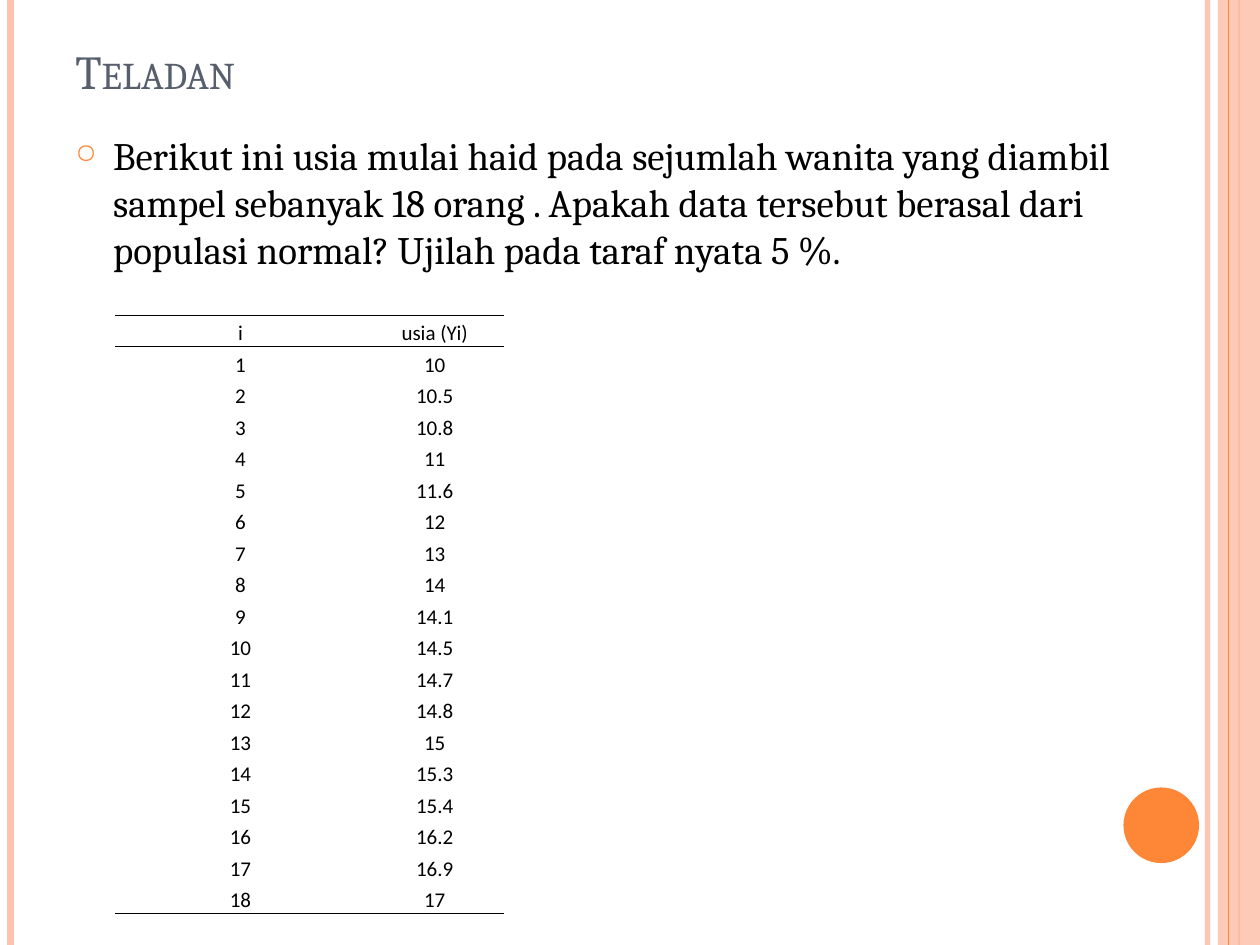
from lxml.etree import SubElement
from pptx import Presentation
from pptx.dml.color import RGBColor
from pptx.enum.shapes import MSO_CONNECTOR as Connector, MSO_SHAPE as Preset
from pptx.enum.text import MSO_ANCHOR as Anchor, PP_ALIGN as Align
from pptx.oxml.ns import qn
from pptx.util import Inches, Pt

COLORS = {
    "peach": "FEC3AE",
    "orange": "FE8637",
    "slate": "575F6D",
    "black": "000000",
}
COLUMNS, ROWS = 120, 90
UNIT = Inches(10) / COLUMNS
AGES = [10, 10.5, 10.8, 11, 11.6, 12, 13, 14, 14.1,
        14.5, 14.7, 14.8, 15, 15.3, 15.4, 16.2, 16.9, 17]
QUESTION = ("Berikut ini usia mulai haid pada sejumlah wanita yang diambil "
            "sampel sebanyak 18 orang . Apakah data tersebut berasal dari "
            "populasi normal? Ujilah pada taraf nyata 5 %.")


def grid(*units):
    return [round(unit * UNIT) for unit in units]


def rgb(name):
    return RGBColor.from_string(COLORS[name])


def add_element(parent, tag, **attributes):
    return SubElement(parent, qn(tag), attributes)


def set_opacity(fill_parent, percent):
    color = fill_parent.find(".//" + qn("a:srgbClr"))
    add_element(color, "a:alpha", val=str(percent * 1000))


def add_stripe(page, column, color, width, opacity=100):
    stripe = page.shapes.add_connector(
        Connector.STRAIGHT, *grid(column, 0, column, ROWS))
    stripe.line.color.rgb = rgb(color)
    stripe.line.width = Pt(width)
    properties = stripe.element.spPr
    if opacity < 100:
        set_opacity(properties, opacity)
    add_element(properties, "a:effectLst")


def add_solid(page, preset, place, color, opacity=100):
    solid = page.shapes.add_shape(preset, *grid(*place))
    solid.shadow.inherit = False
    solid.fill.solid()
    solid.fill.fore_color.rgb = rgb(color)
    solid.line.fill.background()
    if opacity < 100:
        set_opacity(solid.element.spPr, opacity)


def style_font(font, name, size, color):
    font.name = name
    font.size = Pt(size)
    font.color.rgb = rgb(color)


def add_text(page, place, text, size, color, anchor=Anchor.TOP):
    box = page.shapes.add_textbox(*grid(*place))
    frame = box.text_frame
    frame.word_wrap = True
    frame.vertical_anchor = anchor
    frame.text = text
    para = frame.paragraphs[0]
    style_font(para.runs[0].font, "Cambria", size, color)
    return para


def add_bullet(para, indent):
    properties = para._p.get_or_add_pPr()
    properties.set("marL", str(indent))
    properties.set("indent", str(-indent))
    color = add_element(properties, "a:buClr")
    add_element(color, "a:srgbClr", val=COLORS["orange"])
    add_element(properties, "a:buSzPct", val="70000")
    add_element(properties, "a:buChar", char="○")


def fill_cell(cell, text, ruled_sides):
    cell.text = text
    cell.vertical_anchor = Anchor.BOTTOM
    cell.margin_left = cell.margin_right = cell.margin_top = Inches(0.01)
    cell.margin_bottom = 0
    para = cell.text_frame.paragraphs[0]
    para.alignment = Align.CENTER
    style_font(para.runs[0].font, "Calibri", 12, "black")
    properties = cell._tc.get_or_add_tcPr()
    for side in "LRTB":
        border = add_element(properties, f"a:ln{side}", w=str(Pt(0.5)))
        if side in ruled_sides:
            solid = add_element(border, "a:solidFill")
            add_element(solid, "a:srgbClr", val=COLORS["black"])
        else:
            add_element(border, "a:noFill")
    cell.fill.background()


def add_age_table(page, left, top, widths, row_height):
    records = [("i", "usia (Yi)"), *enumerate(AGES, 1)]
    rules = {0: "TB", 1: "T", len(AGES): "B"}
    place = grid(left, top, sum(widths), row_height * len(records))
    table = page.shapes.add_table(len(records), len(widths), *place).table
    table.first_row = table.horz_banding = False
    for column, width in zip(table.columns, grid(*widths)):
        column.width = width
    for index, record in enumerate(records):
        table.rows[index].height = grid(row_height)[0]
        for column, value in enumerate(record):
            fill_cell(table.cell(index, column), str(value), rules.get(index, ""))


def main():
    deck = Presentation()
    deck.slide_width, deck.slide_height = grid(COLUMNS, ROWS)
    page = deck.slides.add_slide(deck.slide_layouts[6])

    add_stripe(page, 115, "peach", 3, opacity=93)
    add_stripe(page, 1, "peach", 4.5)
    add_stripe(page, 118, "orange", 1.5)
    add_solid(page, Preset.RECTANGLE, (116, 0, 4, ROWS), "peach", opacity=87)
    add_stripe(page, 117, "orange", 0.75)
    add_solid(page, Preset.OVAL, (107, 75, 7.2, 7.2), "orange")

    title = add_text(page, (6, 3.6, 98, 6.4), "Teladan", 27, "slate", Anchor.BOTTOM)
    title.runs[0].font._element.set("cap", "small")
    question = add_text(page, (6, 12, 108, 19), QUESTION, 22.2, "black")
    add_bullet(question, Inches(0.3))
    add_age_table(page, 11, 30, (23.8, 13.2), 3)

    deck.save("out.pptx")


if __name__ == "__main__":
    main()
